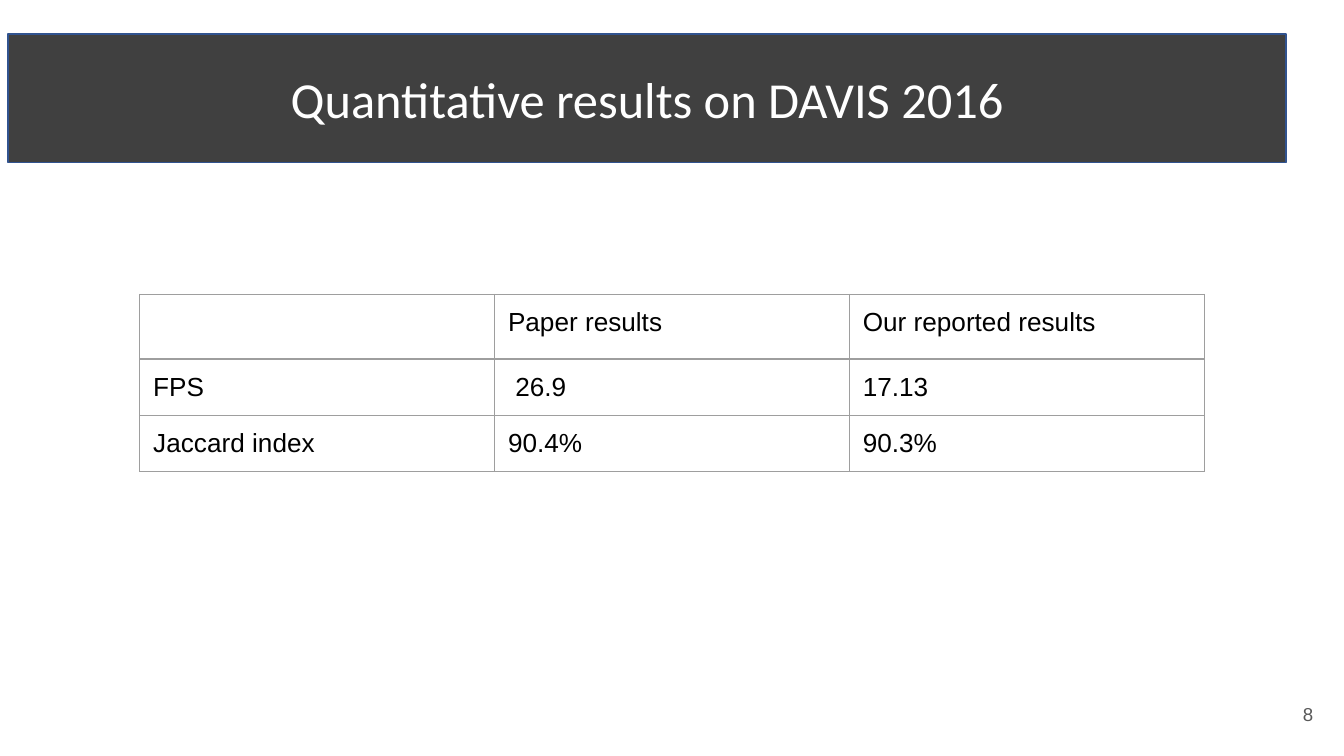
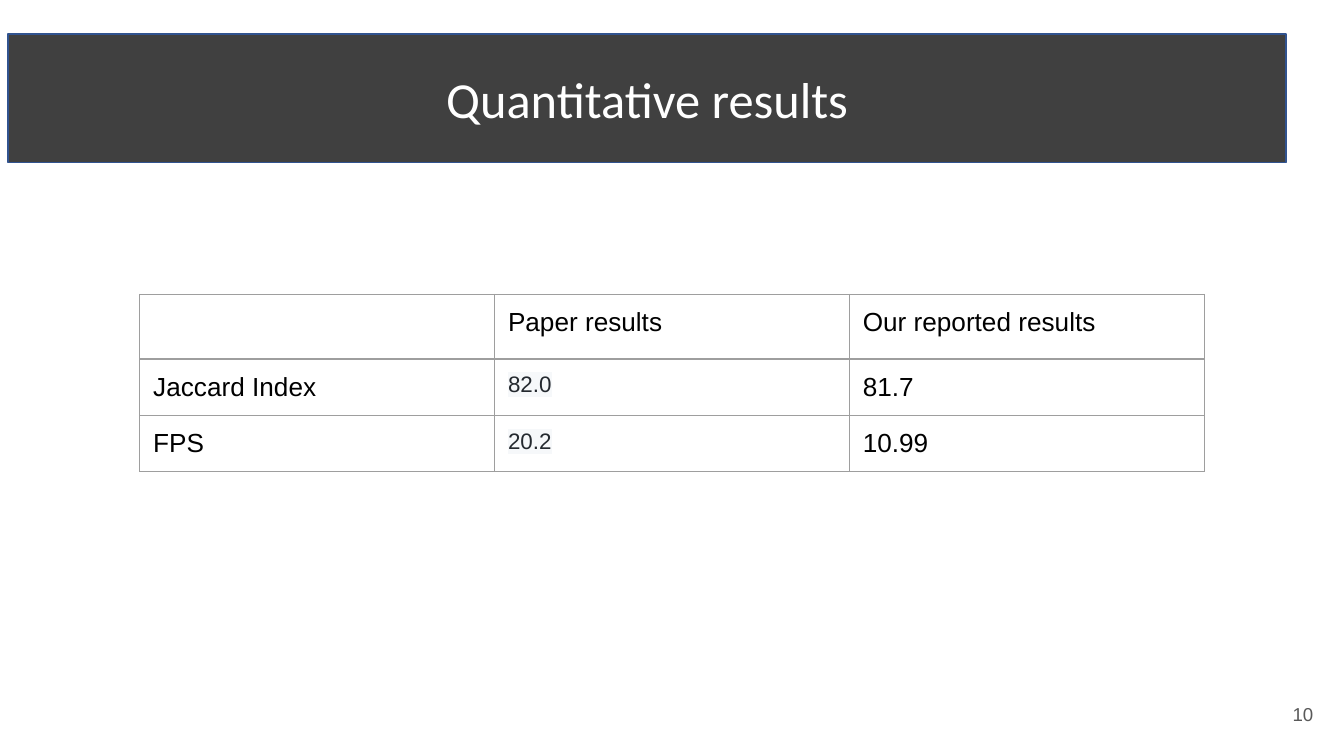
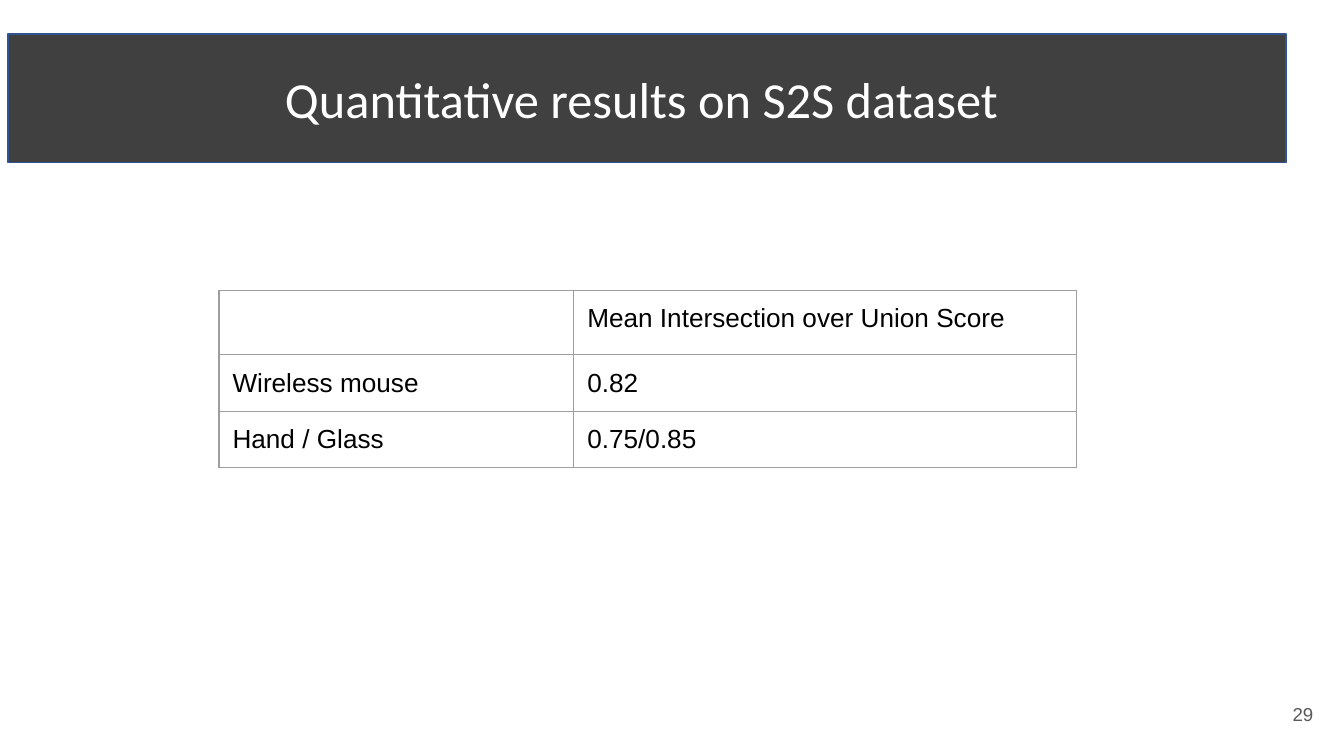
from pptx import Presentation
from pptx.dml.color import RGBColor
from pptx.enum import text
from pptx.oxml import ns, xmlchemy
from pptx.text.text import Font
from pptx.util import Inches, Pt

# Shared style
BAND = RGBColor(0x40, 0x40, 0x40)
BAND_EDGE = RGBColor(0x31, 0x53, 0x8F)
WHITE = RGBColor(0xFF, 0xFF, 0xFF)
BLACK = RGBColor(0x00, 0x00, 0x00)
NUMBER_GREY = RGBColor(0x59, 0x59, 0x59)
GRID_GREY = RGBColor(0x9E, 0x9E, 0x9E)
CODE_INK = RGBColor(0x24, 0x29, 0x2F)
CODE_BACK = RGBColor(0xF6, 0xF8, 0xFA)

# Boxes: left, top, width, height
TITLE_BOX = (0.06, 0.25, 9.51, 0.96)
NUMBER_BOX = (9.27, 5.1, 0.6, 0.43)
ROW_HEIGHT = 0.42
TITLE_ONLY = 5

RESULT_HEADER = ("", "Paper results", "Our reported results")
RESULT_WIDTHS = (2.64, 2.64, 2.64)
RESULT_PLACE = (1.04, 2.19)

# Page number, title, table place, column widths, rows, highlighted values
SLIDES = [
    (8, "Quantitative results on DAVIS 2016", RESULT_PLACE, RESULT_WIDTHS,
     [RESULT_HEADER,
      ("FPS", " 26.9", "17.13"),
      ("Jaccard index", "90.4%", "90.3%")], ()),
    (10, "Quantitative results", RESULT_PLACE, RESULT_WIDTHS,
     [RESULT_HEADER,
      ("Jaccard Index", "82.0", "81.7"),
      ("FPS", "20.2", "10.99")], ("82.0", "20.2")),
    (29, "Quantitative results on S2S dataset ", (1.63, 2.16), (2.64, 3.74),
     [("", "Mean Intersection over Union Score"),
      ("Wireless mouse", "0.82"),
      ("Hand / Glass", "0.75/0.85")], ()),
]


def style_font(font, name, size, color):
    font.name = name
    font.size = Pt(size)
    font.color.rgb = color


def set_margins(holder, horizontal, vertical):
    holder.margin_left = holder.margin_right = Inches(horizontal)
    holder.margin_top = holder.margin_bottom = Inches(vertical)


def fill_frame(frame, words, align, margins):
    """Put one paragraph in a middle-anchored frame and return it."""
    frame.word_wrap = True
    frame.auto_size = text.MSO_AUTO_SIZE.NONE
    frame.vertical_anchor = text.MSO_ANCHOR.MIDDLE
    set_margins(frame, *margins)
    frame.text = words
    paragraph = frame.paragraphs[0]
    paragraph.alignment = align
    return paragraph


def add_title_band(slide, title, box):
    band = slide.shapes.title
    band.left, band.top, band.width, band.height = map(Inches, box)
    band.fill.solid()
    band.fill.fore_color.rgb = BAND
    band.line.color.rgb = BAND_EDGE
    band.line.width = Pt(1)
    heading = fill_frame(band.text_frame, title, text.PP_ALIGN.CENTER, (0.07, 0.04))
    style_font(heading.font, "Calibri", 27, WHITE)


def add_page_number(slide, number, box):
    page = slide.shapes.add_textbox(*map(Inches, box))
    digits = fill_frame(page.text_frame, str(number), text.PP_ALIGN.RIGHT, (0.1, 0.1))
    style_font(digits.font, "Arial", 10, NUMBER_GREY)


def add_borders(cell):
    properties = cell._tc.get_or_add_tcPr()
    for position, side in enumerate(("a:lnL", "a:lnR", "a:lnT", "a:lnB")):
        edge = xmlchemy.OxmlElement(side)
        edge.set("w", str(Pt(0.75)))
        paint = xmlchemy.OxmlElement("a:solidFill")
        color = xmlchemy.OxmlElement("a:srgbClr")
        color.set("val", str(GRID_GREY))
        paint.append(color)
        edge.append(paint)
        properties.insert(position, edge)


def highlight(run):
    style_font(run.font, "Arial", 12, CODE_INK)
    marker = xmlchemy.OxmlElement("a:highlight")
    color = xmlchemy.OxmlElement("a:srgbClr")
    color.set("val", str(CODE_BACK))
    marker.append(color)
    run._r.rPr.find(ns.qn("a:solidFill")).addnext(marker)


def add_results(slide, place, widths, rows, highlighted):
    box = (*place, sum(widths), ROW_HEIGHT * len(rows))
    results = slide.shapes.add_table(len(rows), len(widths), *map(Inches, box)).table
    results.first_row = results.horz_banding = False
    for column, width in zip(results.columns, widths):
        column.width = Inches(width)
    for row, values in zip(results.rows, rows):
        row.height = Inches(ROW_HEIGHT)
        for cell, value in zip(row.cells, values):
            set_margins(cell, 0.1, 0.1)
            cell.fill.background()
            add_borders(cell)
            cell.text = value
            entry = cell.text_frame.paragraphs[0]
            if not value:
                # The empty corner sets the height of the header row
                style_font(Font(entry._p.get_or_add_endParaRPr()), "Arial", 18, BLACK)
            elif value in highlighted:
                highlight(entry.runs[0])
            else:
                style_font(entry.font, "Arial", 14, BLACK)


def main():
    deck = Presentation()
    deck.slide_width = Inches(10)
    deck.slide_height = deck.slide_width * 9 // 16
    for number, title, place, widths, rows, highlighted in SLIDES:
        slide = deck.slides.add_slide(deck.slide_layouts[TITLE_ONLY])
        add_title_band(slide, title, TITLE_BOX)
        add_page_number(slide, number, NUMBER_BOX)
        add_results(slide, place, widths, rows, highlighted)
    deck.save("out.pptx")


if __name__ == "__main__":
    main()
